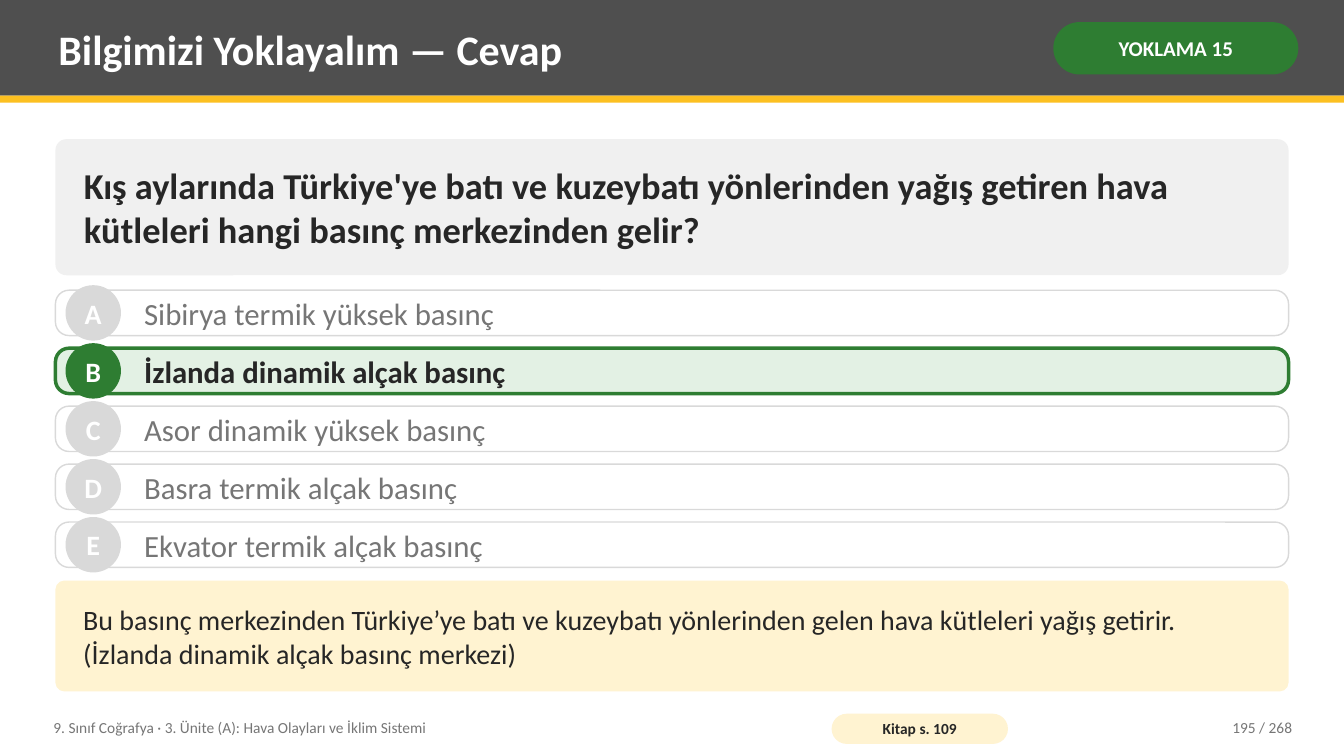
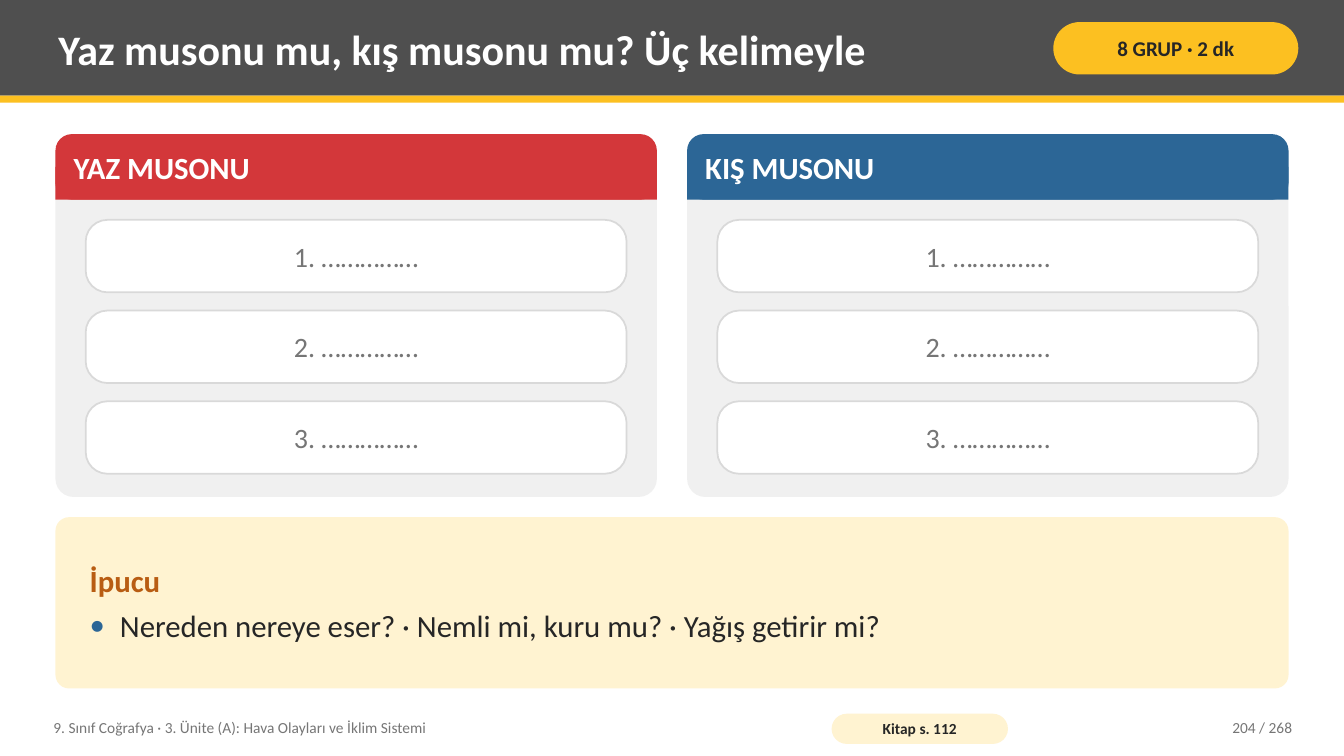
"""Builds two geography lesson slides: a quiz answer and a group task."""
import pptx
import pptx.dml.color
import pptx.enum.shapes
import pptx.enum.text
import pptx.util
from lxml import etree

Pt = pptx.util.Pt
SHAPE = pptx.enum.shapes.MSO_SHAPE
ALIGN = pptx.enum.text.PP_ALIGN
MIDDLE = pptx.enum.text.MSO_ANCHOR.MIDDLE
FONT = "Calibri"
WHITE, INK, MUTED, RULE = "FFFFFF", "262626", "767676", "D9D9D9"
SLATE, PANEL, CREAM, AMBER = "4F4F4F", "F0F0F0", "FFF3D1", "FCC021"
GREEN, MINT, RED, BLUE, RUST = "2E7D32", "E3F1E4", "D3373A", "2C6696", "B85C12"
WIDTH, HEIGHT = 960, 540
LEFT, CONTENT_W = 39.6, 880.8
TEXT_INSETS = (5.76, 2.88)
TOTAL = 268
COURSE = "9. Sınıf Coğrafya · 3. Ünite (A): Hava Olayları ve İklim Sistemi"


def rgb(color):
    """Turn a hex string into a colour."""
    return pptx.dml.color.RGBColor.from_string(color)


def add_bullet(p, color, indent):
    """Give a paragraph a coloured round bullet with a hanging indent."""
    pPr = p._p.get_or_add_pPr()
    pPr.set("marL", str(Pt(indent)))
    pPr.set("indent", str(-Pt(indent)))
    ns = pptx.oxml.ns.qn
    clr = etree.SubElement(pPr, ns("a:buClr"))
    etree.SubElement(clr, ns("a:srgbClr")).set("val", color)
    etree.SubElement(pPr, ns("a:buFont")).set("typeface", FONT)
    etree.SubElement(pPr, ns("a:buChar")).set("char", "•")


def write(sp, text, size=22, color=INK, bold=False, align=ALIGN.LEFT,
          insets=TEXT_INSETS, wrap=True, after=None, bullet=None):
    """Add a formatted paragraph to a shape, filling its first one if empty."""
    tf = sp.text_frame
    tf.word_wrap = wrap
    tf.vertical_anchor = MIDDLE
    tf.margin_left = tf.margin_right = Pt(insets[0])
    tf.margin_top = tf.margin_bottom = Pt(insets[1])
    p = tf.add_paragraph() if tf.text else tf.paragraphs[0]
    if bullet:
        add_bullet(p, bullet, 21.6)
    p.alignment = align
    if after is not None:
        p.space_after = Pt(after)
    r = p.add_run()
    r.text = text
    r.font.name, r.font.size, r.font.bold = FONT, Pt(size), bold
    r.font.color.rgb = rgb(color)


def add_box(s, kind, box, fill, adj=None, line=None, weight=1):
    """Draw a flat preset shape."""
    sp = s.shapes.add_shape(kind, *map(Pt, box))
    sp.shadow.inherit = False
    sp.fill.solid()
    sp.fill.fore_color.rgb = rgb(fill)
    if adj is not None:
        sp.adjustments[0] = adj
    if line:
        sp.line.color.rgb = rgb(line)
        sp.line.width = Pt(weight)
    else:
        sp.line.fill.background()
    return sp


def add_label(s, box, text, **fmt):
    """Place a text box."""
    write(s.shapes.add_textbox(*map(Pt, box)), text, **fmt)


def add_header(s, title, badge, badge_fill, badge_color):
    """Draw the title band, its accent rule and the badge."""
    add_box(s, SHAPE.RECTANGLE, (0, 0, WIDTH, 68.4), SLATE)
    add_box(s, SHAPE.RECTANGLE, (0, 68.4, WIDTH, 5), AMBER)
    add_label(s, (36, 5, 702, 59), title, size=30, color=WHITE, bold=True)
    sp = add_box(s, SHAPE.ROUNDED_RECTANGLE, (752.4, 15.8, 175, 37.4), badge_fill, 0.5)
    write(sp, badge, size=15, color=badge_color, bold=True,
          align=ALIGN.CENTER, insets=(3.6, 1.44))


def add_footer(s, book_page, number):
    """Draw the course name, the book page tag and the slide number."""
    top, h = 506.9, 25.9
    add_label(s, (32.4, top, 547.2, h), COURSE, size=11, color=MUTED)
    sp = add_box(s, SHAPE.ROUNDED_RECTANGLE, (594, top + 2.9, 126, 21.6), CREAM, 0.5)
    write(sp, f"Kitap s. {book_page}", size=11, bold=True,
          align=ALIGN.CENTER, insets=(2.88, 0))
    add_label(s, (813.6, top, 115.2, h), f"{number} / {TOTAL}", size=11,
              color=MUTED, align=ALIGN.RIGHT)


def add_card(s, box, fill):
    """Draw a full-width rounded card."""
    return add_box(s, SHAPE.ROUNDED_RECTANGLE, box, fill, 0.08)


def add_option(s, box, letter, text, correct):
    """Draw one answer row with its letter disc."""
    x, y, w, h = box
    disc = 39.6
    accent = GREEN if correct else RULE
    add_box(s, SHAPE.ROUNDED_RECTANGLE, box, MINT if correct else WHITE, 0.3,
            accent, 2.5 if correct else 1)
    sp = add_box(s, SHAPE.OVAL, (x + 7.2, y + (h - disc) / 2, disc, disc), accent)
    write(sp, letter, size=20, color=WHITE, bold=True, align=ALIGN.CENTER,
          insets=(0, 0), wrap=False)
    add_label(s, (x + 57.6, y, w - 72, h), text,
              color=INK if correct else MUTED, bold=correct)


def add_season(s, box, title, color):
    """Draw a panel with a coloured heading and three numbered blanks."""
    x, y, w, h = box
    head = 46.8
    add_box(s, SHAPE.ROUNDED_RECTANGLE, box, PANEL, 0.05)
    add_box(s, SHAPE.ROUNDED_RECTANGLE, (x, y, w, head), color, 0.25)
    add_box(s, SHAPE.RECTANGLE, (x, y + head / 2, w, head / 2), color)
    add_label(s, (x + 7.2, y, w - 14.4, head), title, color=WHITE, bold=True)
    for i in range(3):
        sp = add_box(s, SHAPE.ROUNDED_RECTANGLE,
                     (x + 21.6, y + 61.2 + i * 64.8, w - 43.2, 51.8),
                     WHITE, 0.3, RULE, 1.25)
        write(sp, f"{i + 1}. ……………", size=20, color=MUTED,
              align=ALIGN.CENTER, insets=(4.32, 0))


def build_answer(s, question, options, answer, note):
    """Fill a slide with a question, its options and the explanation."""
    sp = add_card(s, (LEFT, 99.4, CONTENT_W, 97.2), PANEL)
    write(sp, question, size=26, bold=True, insets=(18, 5.76))
    for i, (letter, text) in enumerate(zip("ABCDE", options)):
        add_option(s, (LEFT, 207.3 + i * 41.4, CONTENT_W, 32.4),
                   letter, text, letter == answer)
    sp = add_card(s, (LEFT, 414.7, CONTENT_W, 79.2), CREAM)
    write(sp, note, size=20, insets=(18, 5.76))


def build_task(s, seasons, hint_title, hint):
    """Fill a slide with season panels side by side above a hint."""
    gap = 21.6
    w = (CONTENT_W - gap * (len(seasons) - 1)) / len(seasons)
    for i, (title, color) in enumerate(seasons):
        add_season(s, (LEFT + i * (w + gap), 95.8, w, 259.2), title, color)
    sp = add_card(s, (LEFT, 369.4, CONTENT_W, 122.4), CREAM)
    insets = (21.6, 5.76)
    write(sp, hint_title, color=RUST, bold=True, insets=insets, after=6)
    write(sp, hint, insets=insets, bullet=BLUE)


def main():
    """Build and save the presentation."""
    prs = pptx.Presentation()
    prs.slide_width, prs.slide_height = Pt(WIDTH), Pt(HEIGHT)
    blank = prs.slide_layouts[6]

    s = prs.slides.add_slide(blank)
    add_header(s, "Bilgimizi Yoklayalım — Cevap", "YOKLAMA 15", GREEN, WHITE)
    build_answer(
        s,
        "Kış aylarında Türkiye'ye batı ve kuzeybatı yönlerinden yağış getiren "
        "hava kütleleri hangi basınç merkezinden gelir?",
        ["Sibirya termik yüksek basınç", "İzlanda dinamik alçak basınç",
         "Asor dinamik yüksek basınç", "Basra termik alçak basınç",
         "Ekvator termik alçak basınç"],
        "B",
        "Bu basınç merkezinden Türkiye’ye batı ve kuzeybatı yönlerinden gelen "
        "hava kütleleri yağış getirir. (İzlanda dinamik alçak basınç merkezi)")
    add_footer(s, 109, 195)

    s = prs.slides.add_slide(blank)
    add_header(s, "Yaz musonu mu, kış musonu mu? Üç kelimeyle",
               "8 GRUP · 2 dk", AMBER, INK)
    build_task(s, [("YAZ MUSONU", RED), ("KIŞ MUSONU", BLUE)], "İpucu",
               "Nereden nereye eser? · Nemli mi, kuru mu? · Yağış getirir mi?")
    add_footer(s, 112, 204)

    prs.save("out.pptx")


if __name__ == "__main__":
    main()
